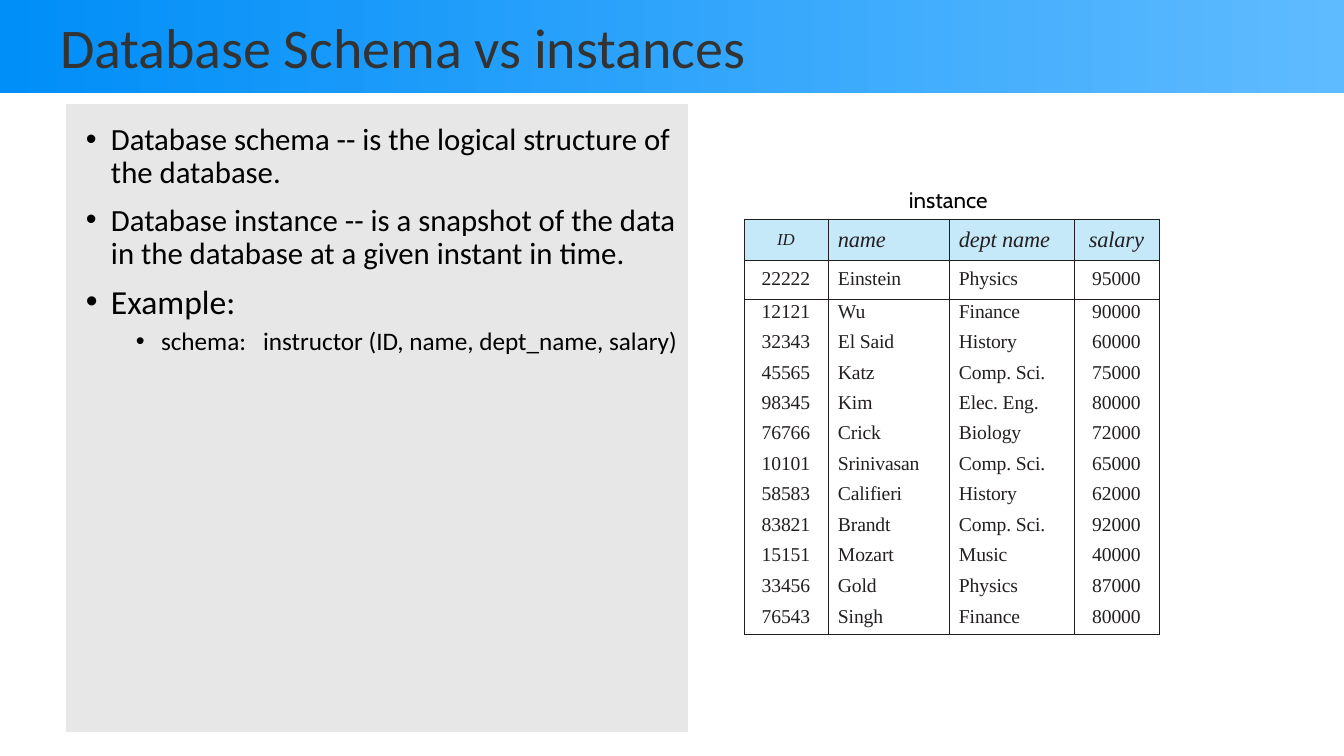
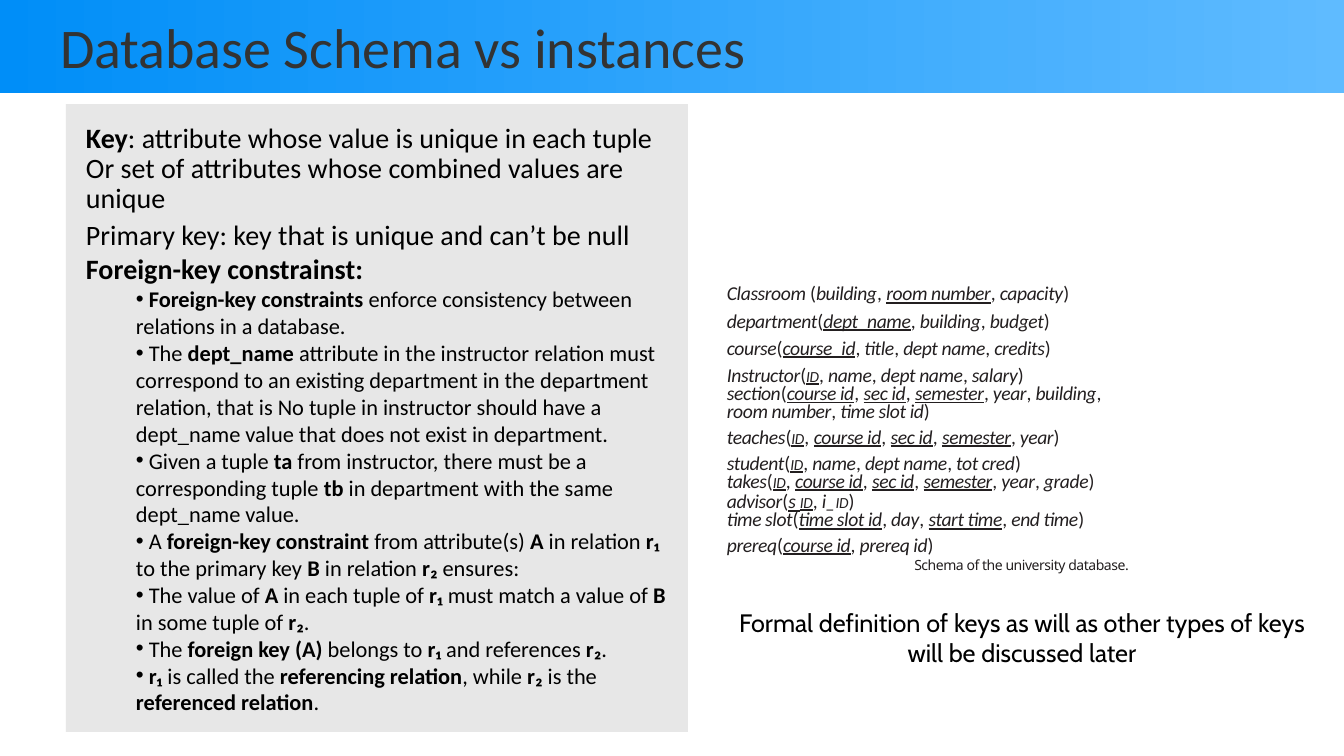
from itertools import groupby
from lxml.etree import SubElement as Sub
from pptx import Presentation
from pptx.dml.color import RGBColor
from pptx.enum.shapes import MSO_SHAPE as Kind
from pptx.enum.text import MSO_ANCHOR as Anchor, PP_ALIGN as Align
from pptx.oxml.ns import qn
from pptx.util import Emu, Pt

SCALE = 914400 / 100.8
WIDE, HIGH = 1344, 756
BLACK, TITLE, PANEL = "000000", "333333", "E7E7E7"
INK, RULE, HEAD = "231F20", "221E1F", "C6E9FA"
SANS, SERIF = "Calibri", "Times New Roman"
MARKS = "*~^="
PLAIN = "(),"

BULLET = {"left": 25, "hang": -25, "bullet": True, "lead": 0.9, "gap": 10}
POINT = {"left": 50, "bullet": True, "size": 16}
LOOSE = {"lead": 1.06, "gap": 1.6}
TIGHT = {"lead": Pt(12.9)}
OPEN = {"lead": 1.1}

TERMS = [
    ("Database schema -- is the logical structure of the database.", BULLET),
    ("Database instance -- is a snapshot of the data in the database "
     "at a given instant in time.", BULLET),
    ("Example:", BULLET | {"size": 24}),
    ("schema:= =instructor (ID, name, dept_name, salary)",
     BULLET | {"left": 75, "gap": 5, "size": 18}),
]
KEYS = [
    ("*Key*: attribute whose value is unique in each tuple Or set of attributes "
     "whose combined values are unique", {"lead": 0.9}),
    ("Primary key: key that is unique and can’t be null", {"lead": 0.9, "gap": 5}),
    ("*Foreign-key constrainst:*", {}),
    ("* Foreign-key constraints* enforce consistency between relations in a database.",
     POINT),
    (" The *dept_name* attribute in the instructor relation must correspond to an "
     "existing department in the department relation, that is No tuple in instructor "
     "should have a dept_name value that does not exist in department.", POINT),
    (" Given a tuple *ta* from instructor, there must be a corresponding tuple *tb* "
     "in department with the same dept_name value.", POINT),
    (" A *foreign-key constraint* from attribute(s) *A* in relation *r₁* to the "
     "primary key *B* in relation *r₂* ensures:", POINT),
    (" The value of *A* in each tuple of *r₁* must match a value of *B* in some "
     "tuple of *r₂*.", POINT),
    (" The *foreign key (A)* belongs to *r₁* and references *r₂*.", POINT),
    ("* r₁* is called the *referencing relation*, while *r₂* is the "
     "*referenced relation*.", POINT),
]
SCHEMA = [
    ("Classroom (building, ~room number~, capacity)", LOOSE),
    ("department(~dept_name~, building, budget)", LOOSE),
    ("course(~course_id~, title, dept name, credits)", LOOSE),
    ("Instructor(~^ID^~, name, dept name, salary)", LOOSE),
    ("section(~course id~, ~sec id~, ~semester~, year, building, room number, "
     "time slot id)", TIGHT),
    ("teaches(~^ID^~, ~course id~, ~sec id~, ~semester~, year)", OPEN),
    ("student(~^ID^~, name, dept name, tot cred)", OPEN),
    ("takes(~^ID^~, ~course id~, ~sec id~, ~semester~, year, grade)", TIGHT),
    ("advisor(~s ^ID^~, i_^ID^)", {"lead": Pt(13.1), "gap": 1.4}),
    ("time slot(~time slot id~, day, ~start time~, end time)", {"lead": Pt(13.1)}),
    ("prereq(~course id~, prereq id)", {"gap": 1.2}),
]
ROWS = [
    ("ID", "name", "dept name", "salary"),
    ("22222", "Einstein", "Physics", "95000"),
    ("12121", "Wu", "Finance", "90000"),
    ("32343", "El Said", "History", "60000"),
    ("45565", "Katz", "Comp. Sci.", "75000"),
    ("98345", "Kim", "Elec. Eng.", "80000"),
    ("76766", "Crick", "Biology", "72000"),
    ("10101", "Srinivasan", "Comp. Sci.", "65000"),
    ("58583", "Califieri", "History", "62000"),
    ("83821", "Brandt", "Comp. Sci.", "92000"),
    ("15151", "Mozart", "Music", "40000"),
    ("33456", "Gold", "Physics", "87000"),
    ("76543", "Singh", "Finance", "80000"),
]


def px(num):
    """Turn pixels into EMU."""
    return Emu(round(num * SCALE))


def rgb(code):
    """Turn a hex string into a colour."""
    return RGBColor.from_string(code)


def split(text):
    """Yield stretches of text with the marks in force on each."""
    live, pairs = frozenset(), []
    for char in text:
        if char in MARKS:
            live = live ^ {char}
        else:
            pairs.append((char, live))
    for marks, group in groupby(pairs, lambda pair: pair[1]):
        yield "".join(char for char, _ in group), marks


def add_run(para, text, marks, slant, track):
    """Add one run, with only what differs from its paragraph."""
    run = para.add_run()
    run.text = text
    if "*" in marks:
        run.font.bold = True
    if "~" in marks:
        run.font.underline = True
    if "^" in marks:
        run.font.size = Pt(11)
    if slant and text[0] in PLAIN:
        run.font.italic = False
    space = 800 if "=" in marks else track
    if space:
        run.font._element.set("spc", str(space))


def style(para, size, font=SANS, color=BLACK, align=None, lead=None, gap=0,
          left=0, hang=0, right=0, bullet=False, slant=False):
    """Set indents, bullet, spacing and font of a paragraph."""
    props = para._p.get_or_add_pPr()
    for name, num in (("marL", left), ("marR", right), ("indent", hang)):
        props.set(name, str(px(num)))
    if bullet:
        Sub(props, qn("a:buFont")).set("typeface", "Arial")
        Sub(props, qn("a:buChar")).set("char", "•")
    else:
        Sub(props, qn("a:buNone"))
    para.alignment, para.line_spacing = align, lead
    if gap:
        para.space_before = Pt(gap)
    para.font.size, para.font.name = Pt(size), font
    para.font.color.rgb = rgb(color)
    if slant:
        para.font.italic = True


def write(frame, lines, track=0, **base):
    """Fill a text frame with (text, options) lines."""
    for spot, (text, more) in enumerate(lines):
        para = frame.add_paragraph() if spot else frame.paragraphs[0]
        look = base | more
        style(para, **look)
        slant = look.get("slant", False)
        for part, marks in split(text):
            for _, group in groupby(part, lambda c: slant and c in PLAIN):
                add_run(para, "".join(group), marks, slant, track)


def inset(item, left, top, right, low):
    """Set the four inner margins of a frame or cell."""
    item.margin_left, item.margin_top = px(left), px(top)
    item.margin_right, item.margin_bottom = px(right), px(low)


def add_box(slide, box, pad, anchor):
    """Add a bare rectangle that holds left-aligned text."""
    shape = slide.shapes.add_shape(Kind.RECTANGLE, *map(px, box))
    shape.shadow.inherit = False
    shape.line.fill.background()
    shape.text_frame.word_wrap = True
    shape.text_frame.vertical_anchor = anchor
    inset(shape.text_frame, *pad)
    return shape


def add_text(slide, box, lines, pad=(10, 5, 10, 5), **base):
    """Add a wrapping text box."""
    frame = slide.shapes.add_textbox(*map(px, box)).text_frame
    frame.word_wrap = True
    inset(frame, *pad)
    write(frame, lines, **base)


def add_band(slide, box, title):
    """Add the shaded title band."""
    shape = add_box(slide, box, (60, 5, 10, 5), Anchor.MIDDLE)
    shape.fill.gradient()
    shape.fill.gradient_angle = 0
    for stop, (spot, code) in zip(shape.fill.gradient_stops,
                                  ((0, "008EF8"), (1, "5FBBFF"))):
        stop.position, stop.color.rgb = spot, rgb(code)
    write(shape.text_frame, [(title, {})], size=40, color=TITLE, align=Align.LEFT)


def add_panel(slide, box, lines, size):
    """Add the grey panel of notes."""
    shape = add_box(slide, box, (20, 20, 10, 5), Anchor.TOP)
    shape.fill.solid()
    shape.fill.fore_color.rgb = rgb(PANEL)
    write(shape.text_frame, lines, size=size, align=Align.LEFT)


def add_edge(cell, side, shown):
    """Draw or clear one border of a cell."""
    line = Sub(cell._tc.get_or_add_tcPr(), qn("a:ln" + side))
    line.set("w", str(Pt(0.5)))
    if shown:
        fill = Sub(line, qn("a:solidFill"))
        Sub(fill, qn("a:srgbClr")).set("val", RULE)
    else:
        Sub(line, qn("a:noFill"))


def add_cell(cell, text, row, col):
    """Set the text, borders and fill of one table cell."""
    head, mid = row == 0, col in (0, 3)
    cell.vertical_anchor = Anchor.MIDDLE
    inset(cell, 0 if mid else 10, 2 if row == 1 else 0, 0, 0)
    size = 14 if not head else 12 if col == 0 else 16
    write(cell.text_frame, [(text, {})], size=size, font=SERIF, color=INK,
          slant=head, align=Align.CENTER if mid else Align.LEFT,
          lead=None if head else Pt(13.1 if row == 1 else 11.9),
          track=-10)
    for side, shown in (("L", True), ("R", True), ("T", row < 3),
                        ("B", row < 2 or row == len(ROWS) - 1)):
        add_edge(cell, side, shown)
    if head:
        cell.fill.solid()
        cell.fill.fore_color.rgb = rgb(HEAD)
    else:
        cell.fill.background()


def add_grid(slide, left, top):
    """Add the table of instructors with its caption above."""
    cols, highs = [84, 121, 125, 85], [41, 39] + [30, 31] * 5 + [31]
    add_text(slide, (left + 155, top - 38, 105, 37), [("instance", {})],
             size=16, font="Cabin")
    box = left, top, sum(cols), sum(highs)
    table = slide.shapes.add_table(len(ROWS), len(cols), *map(px, box)).table
    table.first_row = table.horz_banding = False
    for col, num in zip(table.columns, cols):
        col.width = px(num)
    for row, num in zip(table.rows, highs):
        row.height = px(num)
    for row, texts in enumerate(ROWS):
        for col, text in enumerate(texts):
            add_cell(table.cell(row, col), text, row, col)


def add_schema(slide, left, top):
    """Add the list of relations, its caption and the remark below."""
    base = {"left": 1, "right": 196, "slant": True}
    note = {"size": 10, "font": "Noto Sans", "align": Align.CENTER}
    lines = [(text, base | more) for text, more in SCHEMA]
    lines.append(("Schema of the university database.", note))
    add_text(slide, (left, top, 591, 280), lines, pad=(0, 2, 0, 0),
             size=14, color=INK, track=-30)
    add_text(slide, (left + 2, top + 324, 588, 72),
             [("Formal definition of keys as will as other types of keys "
               "will be discussed later", {})],
             size=18, font="Cabin", align=Align.CENTER)


def add_page(deck, lines, size):
    """Add a slide with the shared band and panel."""
    slide = deck.slides.add_slide(deck.slide_layouts[6])
    add_band(slide, (0, 0, WIDE, 93), "Database Schema vs instances")
    add_panel(slide, (66, 104, 622, 628), lines, size)
    return slide


def main():
    """Build and save the deck."""
    deck = Presentation()
    deck.slide_width, deck.slide_height = px(WIDE), px(HIGH)
    add_grid(add_page(deck, TERMS, 22), 744, 219)
    add_schema(add_page(deck, KEYS, 20), 726, 278)
    deck.save("out.pptx")


if __name__ == "__main__":
    main()
